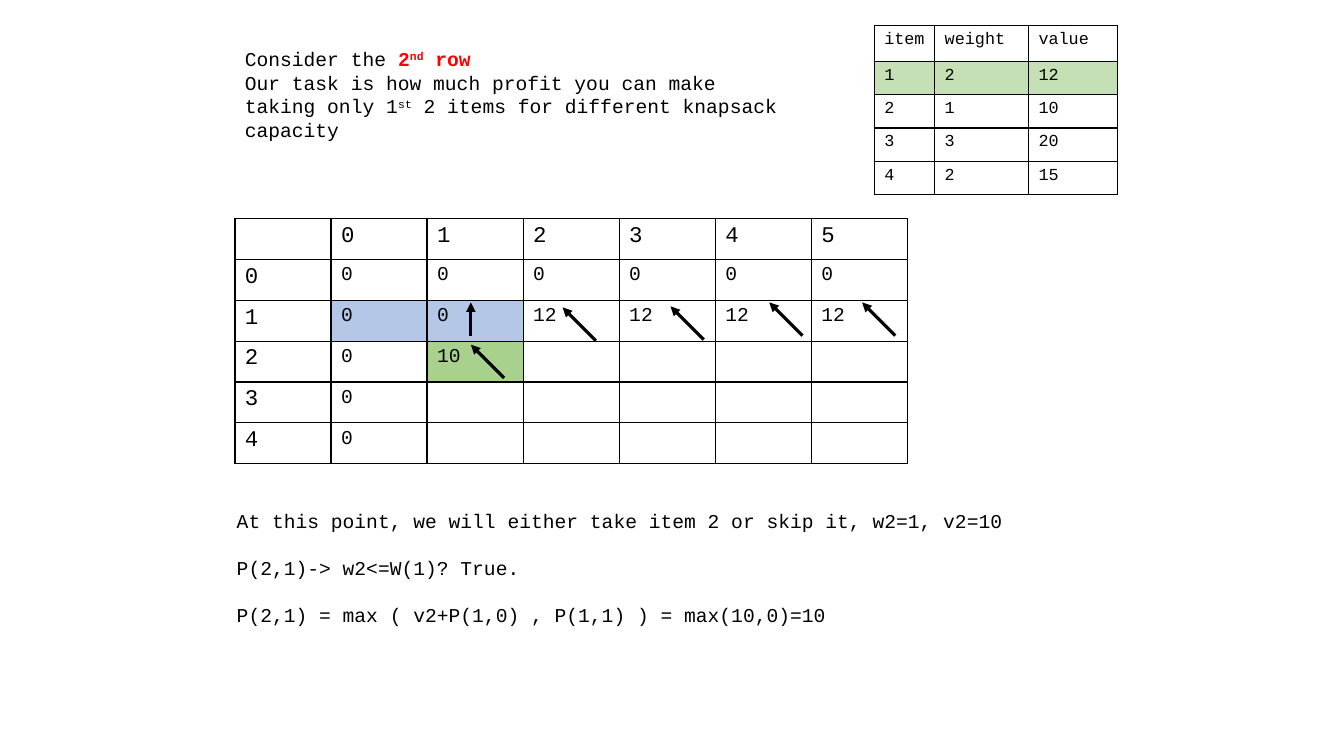
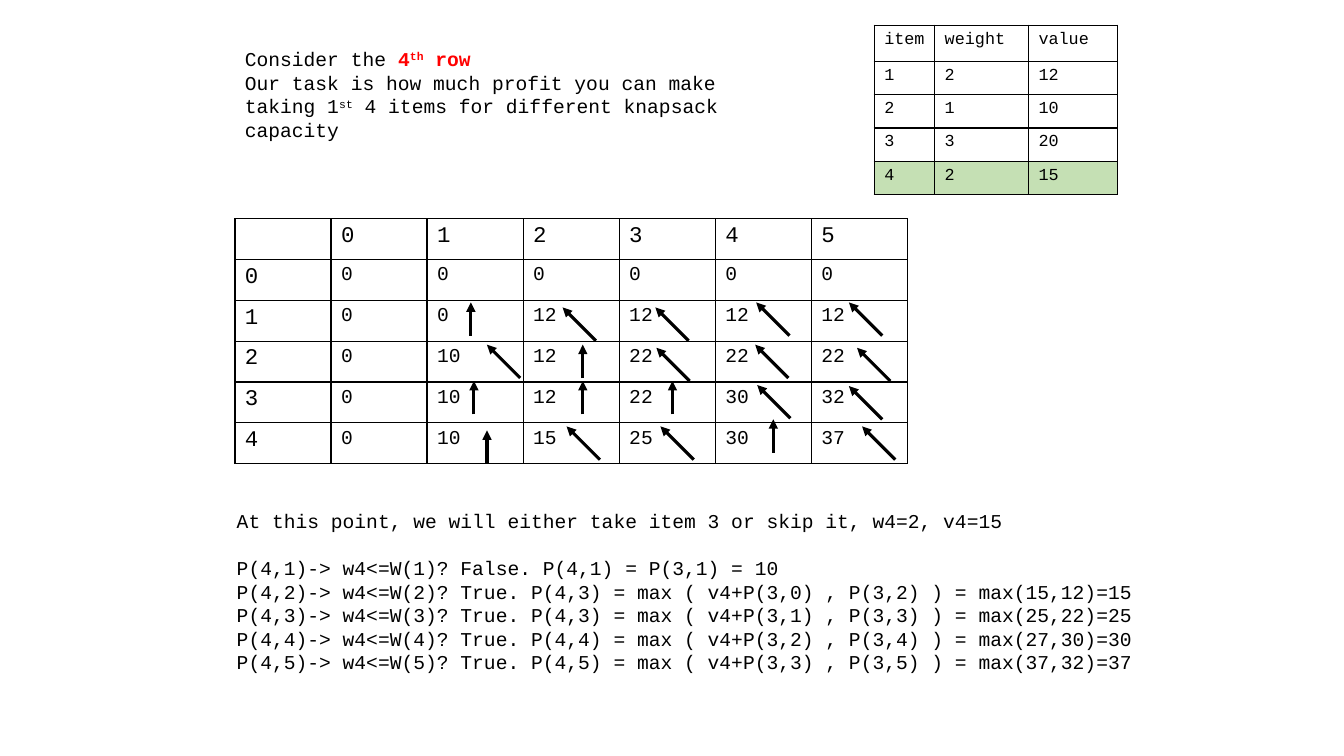
"""Build two slides that fill in a knapsack profit table row by row."""
from lxml.etree import SubElement
from pptx import Presentation
from pptx.dml.color import RGBColor
from pptx.enum.shapes import MSO_CONNECTOR
from pptx.oxml.ns import qn
from pptx.util import Inches, Pt

BLACK = RGBColor(0x00, 0x00, 0x00)
WHITE = RGBColor(0xFF, 0xFF, 0xFF)
RED = RGBColor(0xFF, 0x00, 0x00)
BLUE = RGBColor(0xB4, 0xC7, 0xE7)
GREEN = RGBColor(0xA9, 0xD1, 0x8E)
PALE = RGBColor(0xC5, 0xE0, 0xB4)
FONT = "Courier New"
GAP = Pt(16.9)
STEP = 0.33

ITEMS = [["item", "weight", "value"], [1, 2, 12], [2, 1, 10], [3, 3, 20], [4, 2, 15]]
HEAD = [["", 0, 1, 2, 3, 4, 5], [0] * 7, [1, 0, 0, 12, 12, 12, 12]]

SLIDES = [
    {
        "row": ("2", "nd"),
        "task": ("taking only 1", " 2 items"),
        "pick": 1,
        "grid": HEAD + [[2, 0, 10, "", "", "", ""]] + [[n, 0] + [""] * 5 for n in (3, 4)],
        "fills": {(2, 1): BLUE, (2, 2): BLUE, (3, 2): GREEN},
        "ups": [(4.67, 3)],
        "slants": [(5.58, 3.05), (6.65, 3.04), (7.63, 3), (8.55, 3), (4.67, 3.42)],
        "size": (8.67, 1.75),
        "notes": [
            "At this point, we will either take item 2 or skip it, w2=1, v2=10",
            "P(2,1)-> w2<=W(1)? True.",
            "P(2,1) = max ( v2+P(1,0) , P(1,1) ) = max(10,0)=10",
        ],
        "gaps": (1, 2),
    },
    {
        "row": ("4", "th"),
        "task": ("taking 1", " 4 items"),
        "pick": 4,
        "grid": HEAD + [
            [2, 0, 10, 12, 22, 22, 22],
            [3, 0, 10, 12, 22, 30, 32],
            [4, 0, 10, 15, 25, 30, 37],
        ],
        "fills": {},
        "ups": [(4.67, 3), (5.78, 3.42), (4.7, 3.78), (5.78, 3.78), (6.67, 3.78),
                (4.83, 4.27), (7.67, 4.16)],
        "slants": [(5.58, 3.05), (6.5, 3.05), (7.5, 3), (8.42, 3), (4.83, 3.42),
                   (6.51, 3.45), (7.49, 3.42), (8.5, 3.45), (7.51, 3.82), (8.42, 3.83),
                   (8.55, 4.23), (6.55, 4.23), (5.62, 4.23)],
        "size": (9.17, 1.99),
        "notes": [
            "At this point, we will either take item 3 or skip it, w4=2, v4=15",
            "P(4,1)-> w4<=W(1)? False. P(4,1) = P(3,1) = 10",
            "P(4,2)-> w4<=W(2)? True. P(4,3) = max ( v4+P(3,0) , P(3,2) ) = max(15,12)=15",
            "P(4,3)-> w4<=W(3)? True. P(4,3) = max ( v4+P(3,1) , P(3,3) ) = max(25,22)=25",
            "P(4,4)-> w4<=W(4)? True. P(4,4) = max ( v4+P(3,2) , P(3,4) ) = max(27,30)=30",
            "P(4,5)-> w4<=W(5)? True. P(4,5) = max ( v4+P(3,3) , P(3,5) ) = max(37,32)=37",
        ],
        "gaps": (1,),
    },
]


def style(para, size):
    para.font.name = FONT
    para.font.size = Pt(size)
    para.font.color.rgb = BLACK


def draw_table(slide, left, top, rows, wide, high, fills, sizes):
    table = slide.shapes.add_table(
        len(rows), len(wide), Inches(left), Inches(top),
        Inches(sum(wide)), Inches(sum(high))).table
    for col, width in zip(table.columns, wide):
        col.width = Inches(width)
    for r, row in enumerate(rows):
        table.rows[r].height = Inches(high[r])
        for c, value in enumerate(row):
            cell = table.cell(r, c)
            cell.text = str(value)
            para = cell.text_frame.paragraphs[0]
            style(para, sizes[0] if r == 0 or c == 0 else sizes[1])
            para.font.bold = False
            props = cell._tc.get_or_add_tcPr()
            for side in ("a:lnL", "a:lnR", "a:lnT", "a:lnB"):
                edge = SubElement(props, qn(side), w=str(Pt(1)))
                paint = SubElement(edge, qn("a:solidFill"))
                SubElement(paint, qn("a:srgbClr"), val=str(BLACK))
            cell.fill.solid()
            cell.fill.fore_color.rgb = fills.get((r, c), WHITE)


deck = Presentation()
deck.slide_width = Inches(13.33)
deck.slide_height = Inches(7.5)

for data in SLIDES:
    slide = deck.slides.add_slide(deck.slide_layouts[6])

    picked = {(data["pick"], c): PALE for c in range(3)}
    draw_table(slide, 8.67, 0.25, ITEMS, [0.6, 0.93, 0.88], [0.36] + [0.33] * 4,
               picked, (12, 12))
    draw_table(slide, 2.33, 2.17, data["grid"], [6.67 / 7] * 7, [2.43 / 6] * 6,
               data["fills"], (16, 14))

    intro = slide.shapes.add_textbox(
        Inches(2.33), Inches(0.42), Inches(5.67), Inches(1.04)).text_frame
    intro.word_wrap = True
    number, suffix = data["row"]
    start, count = data["task"]
    lines = [
        [("Consider the ", False), (number, True), (suffix, True), (" row", True)],
        [("Our task is how much profit you can make " + start, False), ("st", False),
         (count + " for different knapsack capacity", False)],
    ]
    for i, line in enumerate(lines):
        para = intro.add_paragraph() if i else intro.paragraphs[0]
        style(para, 14)
        for text, strong in line:
            run = para.add_run()
            run.text = text
            if strong:
                run.font.bold = True
                run.font.color.rgb = RED
            if text in ("st", suffix):
                run._r.get_or_add_rPr().set("baseline", "30000")

    width, height = data["size"]
    notes = slide.shapes.add_textbox(
        Inches(2.25), Inches(5), Inches(width), Inches(height)).text_frame
    notes.word_wrap = True
    for i, text in enumerate(data["notes"]):
        para = notes.add_paragraph() if i else notes.paragraphs[0]
        para.text = text
        style(para, 14)
        if i in data["gaps"]:
            para.space_before = GAP

    for tips, shift in ((data["ups"], 0), (data["slants"], STEP)):
        for x, y in tips:
            arrow = slide.shapes.add_connector(
                MSO_CONNECTOR.STRAIGHT, Inches(x + shift), Inches(y + STEP),
                Inches(x), Inches(y))
            arrow.line.color.rgb = BLACK
            arrow.line.width = Pt(2.25)
            SubElement(arrow.line._get_or_add_ln(), qn("a:tailEnd"), type="triangle")
            SubElement(arrow._element.spPr, qn("a:effectLst"))

deck.save("out.pptx")
